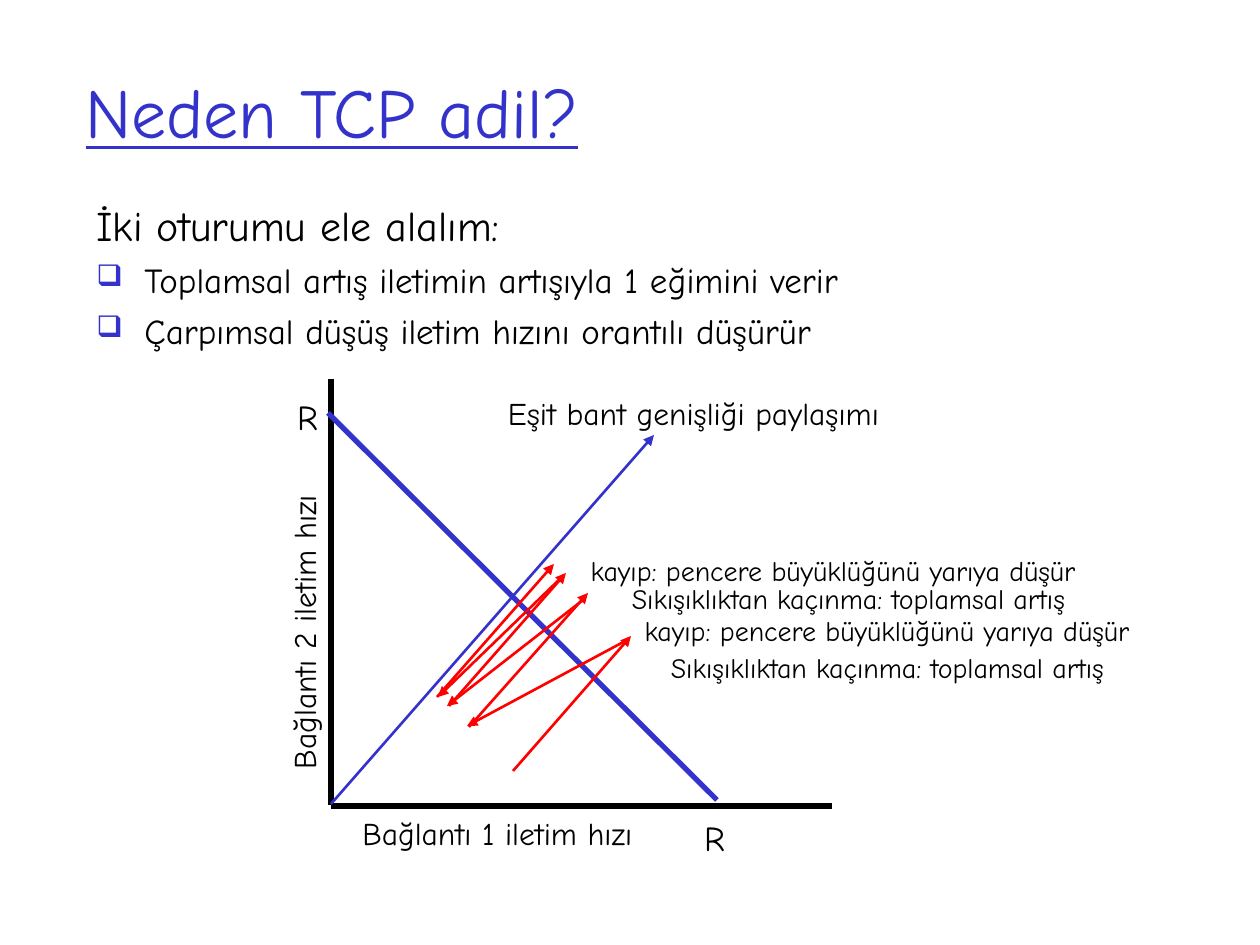
from dataclasses import dataclass

from lxml.etree import SubElement
from pptx import Presentation
from pptx.dml.color import RGBColor
from pptx.enum.shapes import MSO_CONNECTOR
from pptx.enum.text import MSO_ANCHOR, MSO_AUTO_SIZE, PP_ALIGN
from pptx.oxml.ns import qn
from pptx.util import Emu, Inches, Pt

FONT_NAME = "Comic Neue"
COLORS = {"ink": "000000", "accent": "3333CC", "window": "FF0000"}
PX_PER_INCH = 126
HANGING_INDENT = 48


@dataclass(frozen=True)
class Line:
    start: tuple[int, int]
    end: tuple[int, int]
    color: str
    width: float
    arrow: bool = False


@dataclass(frozen=True)
class Label:
    words: str
    left: int
    top: int
    width: int
    height: int
    size: int
    rotation: int = 0
    wrap: bool = True


def px(length: int) -> Emu:
    return Emu(round(length * Inches(1) / PX_PER_INCH))


def apply_format(target, values: dict) -> None:
    for attribute, value in values.items():
        setattr(target, attribute, value)


def place(shape, left: int, top: int, width: int, height: int) -> None:
    apply_format(shape, {"left": px(left), "top": px(top),
                         "width": px(width), "height": px(height)})


def write(paragraph, words: str, size: int, color: str = "ink", underline: bool = False) -> None:
    run = paragraph.add_run()
    run.text = words
    apply_format(run.font, {"name": FONT_NAME, "size": Pt(size), "underline": underline})
    run.font.color.rgb = RGBColor.from_string(COLORS[color])


def add_bullet(paragraph) -> None:
    properties = paragraph._p.get_or_add_pPr()
    bullet_color = SubElement(properties, qn("a:buClr"))
    SubElement(bullet_color, qn("a:srgbClr"), val=COLORS["accent"])
    SubElement(properties, qn("a:buSzPct"), val="85000")
    SubElement(properties, qn("a:buChar"), char="❑")


def draw_line(slide, line: Line) -> None:
    connector = slide.shapes.add_connector(
        MSO_CONNECTOR.STRAIGHT, *map(px, line.start + line.end))
    connector.line.color.rgb = RGBColor.from_string(COLORS[line.color])
    connector.line.width = Pt(line.width)
    if line.arrow:
        SubElement(connector.line._get_or_add_ln(), qn("a:tailEnd"), type="triangle")
    SubElement(connector._element.spPr, qn("a:effectLst"))


def draw_label(slide, label: Label) -> None:
    box = slide.shapes.add_textbox(
        *map(px, (label.left, label.top, label.width, label.height)))
    box.rotation = label.rotation
    apply_format(box.text_frame, {"word_wrap": label.wrap,
                                  "auto_size": MSO_AUTO_SIZE.SHAPE_TO_FIT_TEXT})
    paragraph = box.text_frame.paragraphs[0]
    paragraph.alignment = PP_ALIGN.CENTER
    write(paragraph, label.words, label.size)


def write_title(slide) -> None:
    title = slide.shapes.title
    place(title, 73, 32, 1071, 158)
    apply_format(title.text_frame, {"vertical_anchor": MSO_ANCHOR.MIDDLE,
                                    "word_wrap": True, "auto_size": MSO_AUTO_SIZE.NONE})
    heading = title.text_frame.paragraphs[0]
    heading.alignment = PP_ALIGN.LEFT
    write(heading, "Neden TCP adil?", 40, "accent", True)


def write_body(slide) -> None:
    frame = slide.shapes.add_textbox(*map(px, (84, 193, 1144, 640))).text_frame
    frame.word_wrap = True
    write(frame.paragraphs[0], "İki oturumu ele alalım:", 24)
    for point in POINTS:
        paragraph = frame.add_paragraph()
        paragraph.space_before = Pt(5)
        add_bullet(paragraph)
        write(paragraph, point, 20)
    for paragraph in frame.paragraphs:
        properties = paragraph._p.get_or_add_pPr()
        properties.set("marL", str(px(HANGING_INDENT)))
        properties.set("indent", str(-px(HANGING_INDENT)))


POINTS = ("Toplamsal artış iletimin artışıyla 1 eğimini verir",
          "Çarpımsal düşüş iletim hızını orantılı düşürür")
LOSS = "kayıp: pencere büyüklüğünü yarıya düşür"
AVOIDANCE = "Sıkışıklıktan kaçınma: toplamsal artış"

AXES_AND_GUIDES = (
    Line((331, 806), (832, 806), "ink", 3),
    Line((331, 805), (331, 379), "ink", 3),
    Line((331, 804), (654, 435), "accent", 1.5, True),
    Line((328, 413), (717, 800), "accent", 3),
)
WINDOW_STEPS = (
    ((513, 771), (631, 636)),
    ((629, 639), (467, 726)),
    ((469, 727), (588, 593)),
    ((583, 600), (447, 706)),
    ((449, 706), (566, 573)),
    ((564, 575), (438, 697)),
    ((437, 697), (554, 564)),
)
LABELS = (
    Label("R", 280, 389, 55, 55, 20),
    Label("R", 687, 810, 55, 55, 20),
    Label("Eşit bant genişliği paylaşımı", 449, 388, 489, 50, 18),
    Label("Bağlantı 1 iletim hızı", 253, 808, 489, 50, 18),
    Label("Bağlantı 2 iletim hızı", 59, 607, 489, 50, 18, rotation=270),
    Label(AVOIDANCE, 575, 644, 625, 47, 16),
    Label(LOSS, 631, 607, 512, 47, 16, wrap=False),
    Label(AVOIDANCE, 536, 575, 625, 47, 16),
    Label(LOSS, 577, 547, 512, 47, 16, wrap=False),
)


def main() -> None:
    presentation = Presentation()
    apply_format(presentation, {"slide_width": Inches(10), "slide_height": Inches(7.5)})
    slide = presentation.slides.add_slide(presentation.slide_layouts.get_by_name("Title Only"))
    write_title(slide)
    write_body(slide)
    for line in AXES_AND_GUIDES:
        draw_line(slide, line)
    for label in LABELS:
        draw_label(slide, label)
    for start, end in WINDOW_STEPS:
        draw_line(slide, Line(start, end, "window", 1.5, True))
    presentation.save("out.pptx")


if __name__ == "__main__":
    main()
